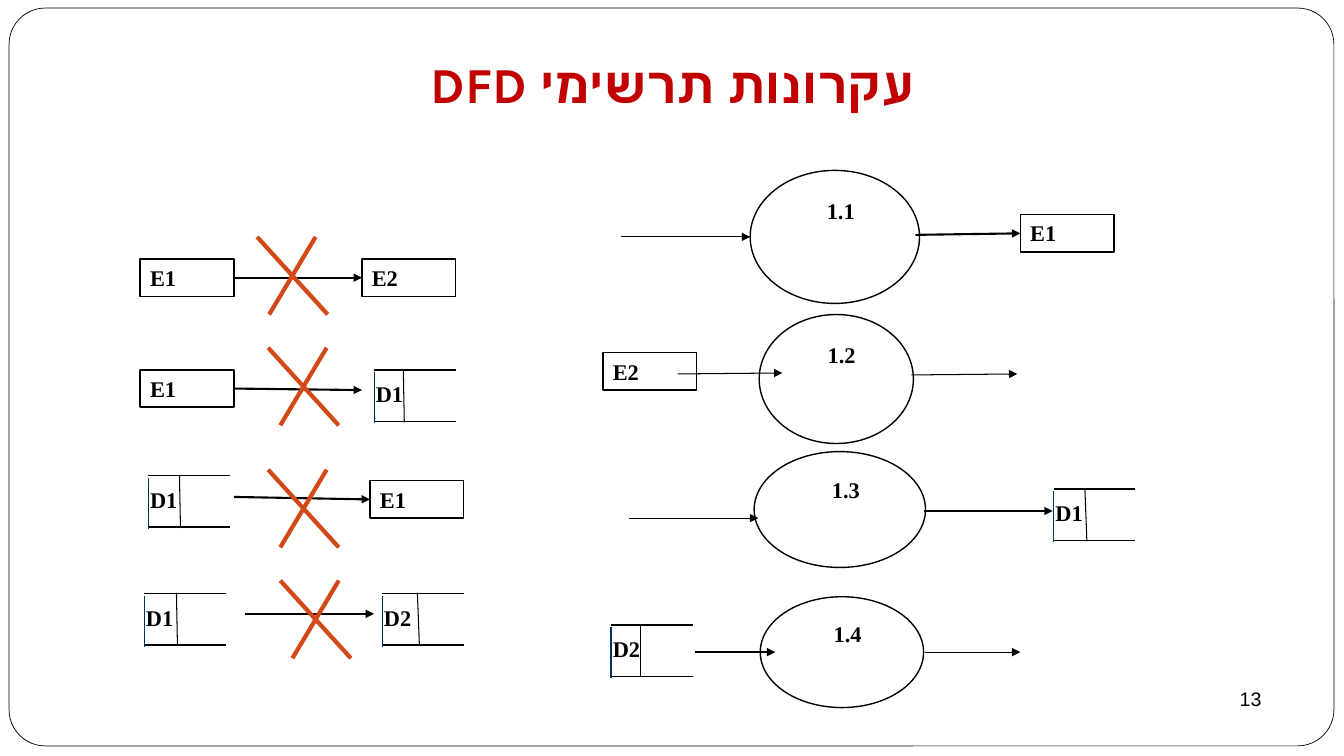
from lxml import etree
from pptx import Presentation
from pptx.dml.color import RGBColor
from pptx.enum.shapes import MSO_CONNECTOR, MSO_SHAPE
from pptx.enum.text import MSO_ANCHOR, PP_ALIGN
from pptx.oxml.ns import qn
from pptx.util import Inches, Pt

STRAIGHT = MSO_CONNECTOR.STRAIGHT
RECT, OVAL, ROUNDED = MSO_SHAPE.RECTANGLE, MSO_SHAPE.OVAL, MSO_SHAPE.ROUNDED_RECTANGLE
LEFT, CENTER, RIGHT = PP_ALIGN.LEFT, PP_ALIGN.CENTER, PP_ALIGN.RIGHT
LEFT_SIDE, RIGHT_SIDE = 1, 3

SLIDE_W, SLIDE_H = 13.33, 7.5
COLORS = {"ink": "000000", "paper": "FFFFFF", "title": "C00000",
          "cross": "D34817", "store": "003366"}
TITLE = "עקרונות תרשימי DFD"
PAGE = "13"
ENTITY_W, LABEL_H = 0.93, 0.37
ROW_TOP, ROW_STEP = 2.57, 1.1
ROWS = [ROW_TOP + ROW_STEP * row for row in range(3)]

ENTITIES = {
    "row1 source": ("E1", 1.39, ROWS[0]),
    "row1 target": ("E2", 3.59, ROWS[0]),
    "row2 source": ("E1", 1.39, ROWS[1]),
    "row3 target": ("E1", 3.67, ROWS[2]),
    "process1 target": ("E1", 10.12, 2.13),
    "process2 source": ("E2", 5.98, 3.5),
}
PROCESSES = [
    ("1.1", 7.44, 1.69, 1.68, 1.32),
    ("1.2", 7.53, 3.12, 1.53, 1.28),
    ("1.3", 7.48, 4.48, 1.7, 1.15),
    ("1.4", 7.54, 5.92, 1.62, 1.1),
]
STORES = [
    ("D1", 3.71, 3.67, 0.29, 0.01),
    ("D1", 1.47, 4.72, 0.31, 0.01),
    ("D1", 1.43, 5.89, 0.32, 0.01),
    ("D2", 3.79, 5.89, 0.35, 0.02),
    ("D1", 10.45, 4.85, 0.31, 0.02),
    ("D2", 6.06, 6.2, 0.29, 0),
]
FLOWS = [
    ("row1 source", "row1 target", 1.5),
    ("row2 source", (3.59, 3.87), 1.5),
    ((2.32, 4.93), "row3 target", 1.5),
    ((2.43, 6.09), (3.71, 6.09), 1.5),
    ((6.16, 2.35), (7.44, 2.35), 0.75),
    ((9.08, 2.33), "process1 target", 1.5),
    ((6.72, 3.71), (7.76, 3.7), 0.75),
    ((9.04, 3.72), (10.09, 3.71), 0.75),
    ((6.24, 5.14), (7.52, 5.14), 0.75),
    ((9.16, 5.07), (10.44, 5.07), 1.5),
    ((6.89, 6.47), (7.69, 6.47), 1.5),
    ((9.17, 6.47), (10.12, 6.47), 0.75),
]
CROSSES = [(2.55, 2.35), (2.66, 3.45), (2.66, 4.66), (2.78, 5.76)]
CROSS_W, CROSS_H = 0.7, 0.77
STORE_W, STORE_H = 0.81, 0.51

LABEL_FONT = {"name": "Times New Roman", "size": Pt(16), "bold": True}
TITLE_FONT = {"name": "Karla", "size": Pt(36), "bold": True}
PAGE_FONT = {"name": "Arial", "size": Pt(14), "bold": False}


def color(name):
    return RGBColor.from_string(COLORS[name])


def apply(target, values):
    for key, value in values.items():
        setattr(target, key, value)


def write(holder, words, font, align, ink="ink", rtl=False):
    frame = holder.text_frame
    apply(frame, {"word_wrap": True, "vertical_anchor": MSO_ANCHOR.TOP})
    paragraph = frame.paragraphs[0]
    paragraph.alignment = align
    run = paragraph.add_run()
    run.text = words
    apply(run.font, font)
    run.font.color.rgb = color(ink)
    if rtl:
        paragraph._p.get_or_add_pPr().set("rtl", "1")
        script = etree.SubElement(run._r.get_or_add_rPr(), qn("a:cs"))
        script.set("typeface", font["name"])


def label(shapes, words, x, y, width, height, font=LABEL_FONT, align=LEFT, rtl=False):
    box = shapes.add_textbox(*map(Inches, (x, y, width, height)))
    write(box, words, font, align, rtl=rtl)


def outline(shapes, kind, x, y, width, height, weight=1):
    shape = shapes.add_shape(kind, *map(Inches, (x, y, width, height)))
    shape.shadow.inherit = False
    shape.fill.background()
    shape.line.color.rgb = color("ink")
    shape.line.width = Pt(weight)
    return shape


def line(shapes, start, end, weight, ink="ink"):
    connector = shapes.add_connector(STRAIGHT, *map(Inches, (*start, *end)))
    connector.line.color.rgb = color(ink)
    connector.line.width = Pt(weight)
    etree.SubElement(connector._element.spPr, qn("a:effectLst"))
    return connector


def process(slide, number, x, y, width, height):
    group = slide.shapes.add_group_shape().shapes
    outline(group, OVAL, x, y, width, height)
    label(group, number, x, y + 0.165 * height, 1.07 * width, LABEL_H, align=CENTER)


def store(slide, name, x, y, divider, slant):
    group = slide.shapes.add_group_shape().shapes
    label(group, name, x - 0.08, y + 0.05, ENTITY_W, LABEL_H)
    for rail in (y, y + STORE_H):
        line(group, (x + STORE_W, rail), (x, rail), 1)
    line(group, (x, y + 0.02), (x, y + STORE_H + 0.02), 0.75, "store")
    line(group, (x + divider, y - 0.01), (x + divider + slant, y + STORE_H + 0.01), 0.75)


def cross(slide, x, y):
    group = slide.shapes.add_group_shape().shapes
    for top, bottom in ((0, CROSS_W), (0.58, 0.12)):
        line(group, (x + top, y), (x + bottom, y + CROSS_H), 3, "cross")


def flow(slide, entities, start, end, weight):
    begin = (0, 0) if start in entities else start
    finish = (0, 0) if end in entities else end
    arrow = line(slide.shapes, begin, finish, weight)
    if start in entities:
        arrow.begin_connect(entities[start], RIGHT_SIDE)
    if end in entities:
        arrow.end_connect(entities[end], LEFT_SIDE)
    etree.SubElement(arrow.line._get_or_add_ln(), qn("a:tailEnd")).set("type", "triangle")


def main():
    deck = Presentation()
    apply(deck, {"slide_width": Inches(SLIDE_W), "slide_height": Inches(SLIDE_H)})
    slide = deck.slides.add_slide(deck.slide_layouts[5])

    frame = outline(slide.shapes, ROUNDED, 0.09, 0.08, 13.14, 7.32, 0.5)
    frame.adjustments[0] = 0.049
    frame.fill.solid()
    frame.fill.fore_color.rgb = color("paper")
    slide.shapes._spTree.insert(2, frame._element)

    title = slide.shapes.title
    apply(title, {"left": Inches(2.17), "top": Inches(0.33),
                  "width": Inches(9), "height": Inches(0.9)})
    write(title, TITLE, TITLE_FONT, CENTER, "title", rtl=True)
    apply(title.text_frame, {"vertical_anchor": MSO_ANCHOR.BOTTOM,
                             "margin_bottom": Inches(0.1)})
    label(slide.shapes, PAGE, 9, 6.77, 3.61, 0.52, PAGE_FONT, RIGHT, rtl=True)

    for details in PROCESSES:
        process(slide, *details)
    entities = {}
    for key, (name, x, y) in ENTITIES.items():
        entities[key] = outline(slide.shapes, RECT, x, y, ENTITY_W, LABEL_H)
        write(entities[key], name, LABEL_FONT, LEFT)
    for details in FLOWS:
        flow(slide, entities, *details)
    for corner in CROSSES:
        cross(slide, *corner)
    for details in STORES:
        store(slide, *details)

    deck.save("out.pptx")


if __name__ == "__main__":
    main()
